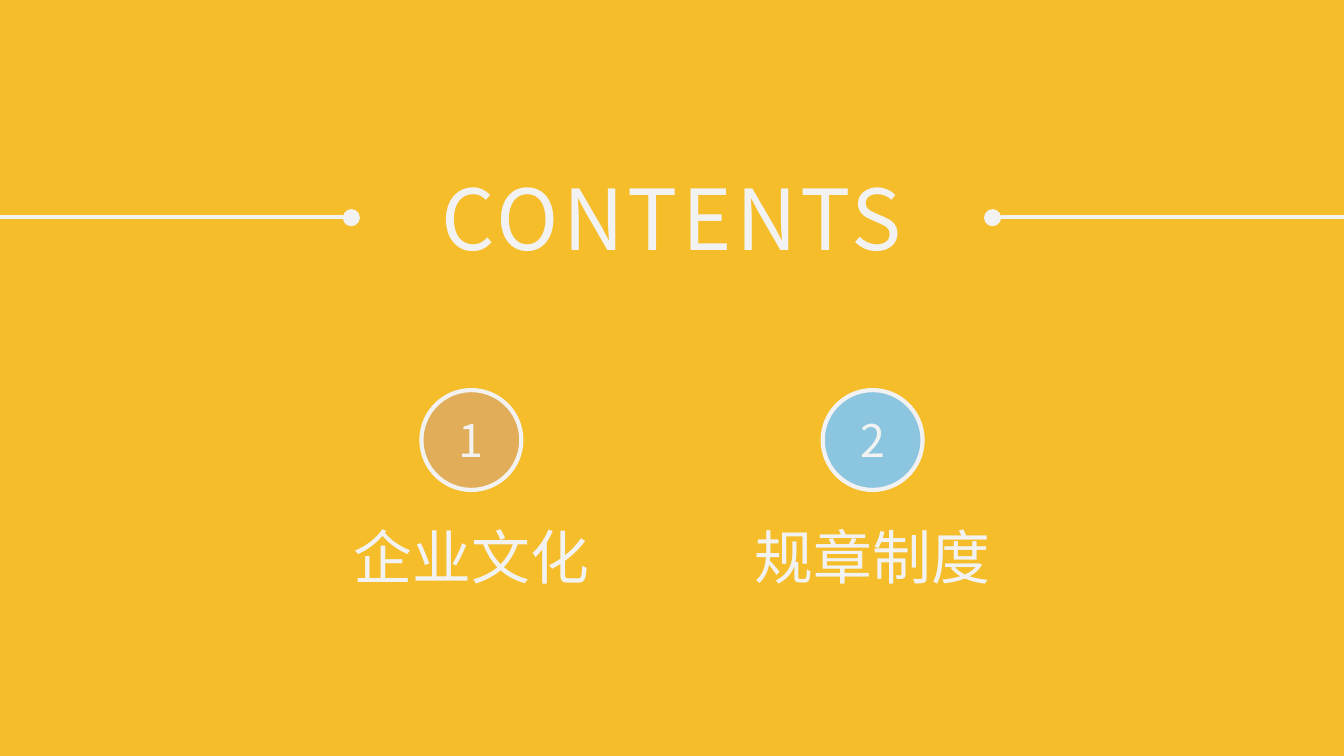
from dataclasses import dataclass
from lxml import etree
from pptx import Presentation
from pptx.dml.color import RGBColor as RGB
from pptx.enum.shapes import MSO_CONNECTOR as CONN, MSO_SHAPE as SHAPE
from pptx.enum.text import MSO_ANCHOR as ANCHOR, MSO_AUTO_SIZE as AUTO, PP_ALIGN as ALIGN
from pptx.oxml.ns import qn
from pptx.util import Inches, Pt

TITLE = "CONTENTS"
SECTIONS = [("1", "企业文化", "E1AD58"), ("2", "规章制度", "8CC5DF")]


@dataclass(frozen=True)
class Theme:
    back: str = "F6BD2A"
    light: str = "F2F2F2"
    font: str = "Noto Sans CJK SC"
    title: int = 60
    label: int = 42
    number: int = 32
    line: int = 3
    spacing: int = 3


T = Theme()
W, H = 13.33, 7.5
MID = W / 2
RULE_Y, DOT, RULE_LEN = 2.15, 0.17, 3.4
BADGE, BADGE_Y, PITCH = 0.99, 3.87, 3.98
LABEL_W, LABEL_H, LABEL_Y = 2.56, 0.81, 5.12
TITLE_W, TITLE_H, TITLE_Y = 4.97, 1.11, 1.6

prs = Presentation()
prs.slide_width, prs.slide_height = Inches(W), Inches(H)
s = prs.slides.add_slide(prs.slide_layouts[6])
s.background.fill.solid()
s.background.fill.fore_color.rgb = RGB.from_string(T.back)


def add_text(sp, text, size, spacing=0):
    p = sp.text_frame.paragraphs[0]
    p.alignment = ALIGN.CENTER
    r = p.add_run()
    r.text = text
    r.font.size, r.font.name = Pt(size), T.font
    r.font.color.rgb = RGB.from_string(T.light)
    rpr = r.font._element
    etree.SubElement(rpr, qn("a:ea")).set("typeface", T.font)
    if spacing:
        rpr.set("spc", str(spacing * 100))


def add_label(text, cx, y, w, h, size, spacing=0):
    sp = s.shapes.add_textbox(Inches(cx - w / 2), Inches(y), Inches(w), Inches(h))
    tf = sp.text_frame
    tf.word_wrap, tf.auto_size = False, AUTO.SHAPE_TO_FIT_TEXT
    add_text(sp, text, size, spacing)


def add_circle(cx, y, size, fill, outlined=False):
    sp = s.shapes.add_shape(SHAPE.OVAL, Inches(cx - size / 2), Inches(y), Inches(size), Inches(size))
    sp.shadow.inherit = False
    sp.fill.solid()
    sp.fill.fore_color.rgb = RGB.from_string(fill)
    if outlined:
        sp.line.color.rgb = RGB.from_string(T.light)
        sp.line.width = Pt(T.line)
    else:
        sp.line.fill.background()
    return sp


def add_rule(x1, x2):
    ln = s.shapes.add_connector(CONN.STRAIGHT, Inches(x1), Inches(RULE_Y), Inches(x2), Inches(RULE_Y))
    ln.line.color.rgb = RGB.from_string(T.light)
    ln.line.width = Pt(T.line)
    etree.SubElement(ln._element.spPr, qn("a:effectLst"))


add_label(TITLE, MID, TITLE_Y, TITLE_W, TITLE_H, T.title, T.spacing)

for edge, inward in ((0, 1), (W, -1)):
    inner = edge + inward * RULE_LEN
    add_circle(inner + inward * DOT / 2, RULE_Y - DOT / 2 + 0.01, DOT, T.light)
    add_rule(inner, edge)

for i, (number, label, fill) in enumerate(SECTIONS):
    cx = MID + (i - (len(SECTIONS) - 1) / 2) * PITCH
    badge = add_circle(cx, BADGE_Y, BADGE, fill, outlined=True)
    badge.text_frame.vertical_anchor = ANCHOR.MIDDLE
    add_text(badge, number, T.number)
    add_label(label, cx, LABEL_Y, LABEL_W, LABEL_H, T.label)

prs.save("out.pptx")
